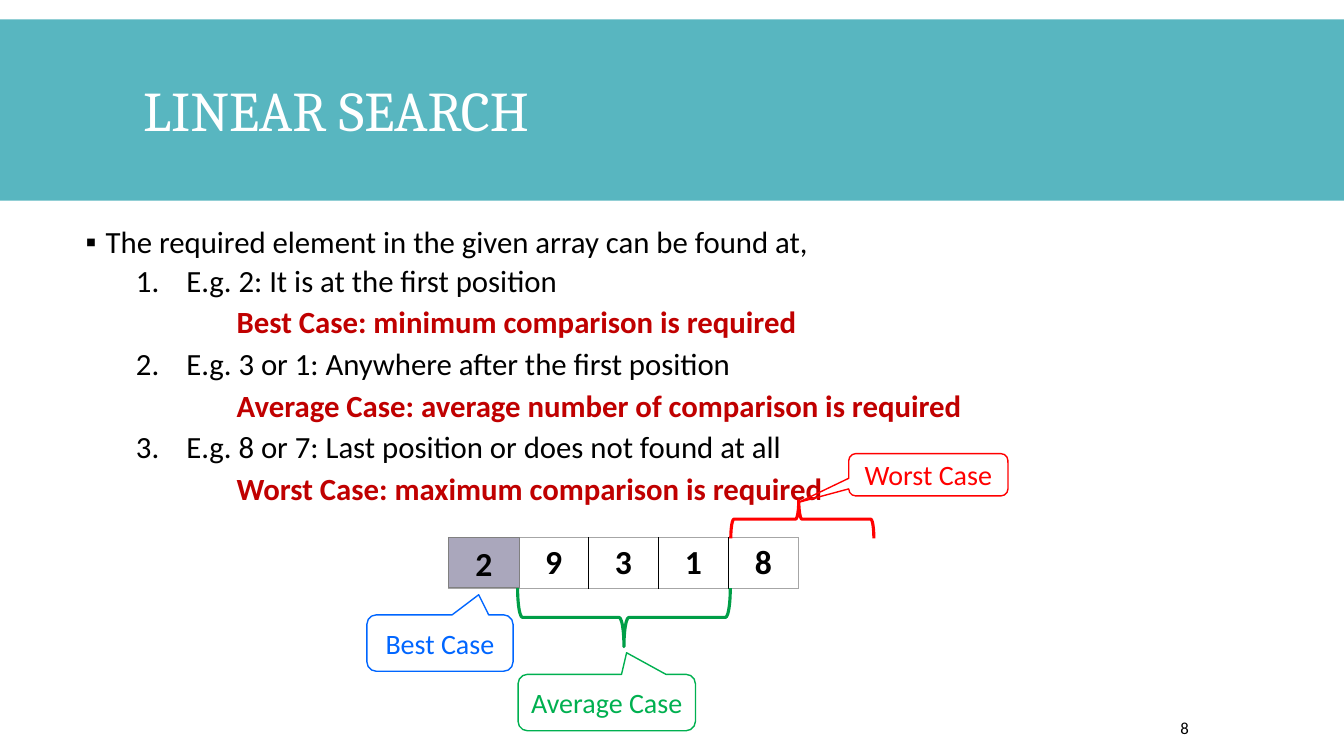
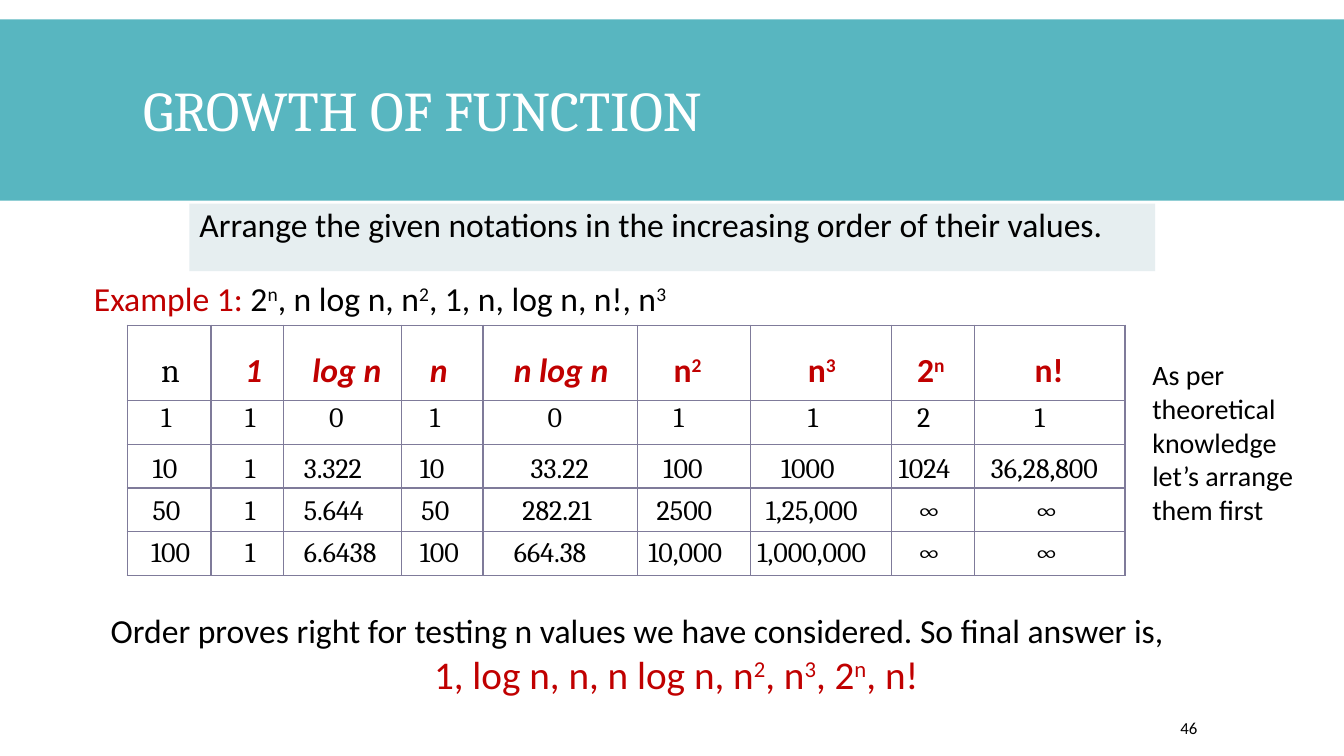
from lxml.etree import SubElement
from pptx import Presentation
from pptx.dml.color import RGBColor
from pptx.enum.shapes import MSO_SHAPE
from pptx.enum.text import MSO_ANCHOR, MSO_AUTO_SIZE, PP_ALIGN
from pptx.oxml.ns import qn
from pptx.util import Inches, Pt

COLUMNS, ROWS = 160, 90
BLACK, WHITE, DARK_RED = "000000", "FFFFFF", "C00000"
TEAL, PALE, LILAC = "58B6C0", "E6EEF0", "AAA7BC"
BLUE, GREEN, BRACE_GREEN, RED = "0066FF", "00B050", "009E47", "FF0000"
GREY, DARK_GREY, TABLE_LINE = "A6A6A6", "808080", "7F7B9A"
TITLE_ONLY = 5


def rgb(value):
    return RGBColor.from_string(value)


class Deck:
    """Holds the shared style and the slide being built; lengths are grid units."""

    font = {"name": "Calibri", "size": 24, "color": BLACK, "bold": False, "italic": False}

    def __init__(self):
        self.prs = Presentation()
        self.prs.slide_width = Inches(13.333)
        self.prs.slide_height = Inches(7.5)
        self.s = None

    def x(self, columns):
        return round(self.prs.slide_width * columns / COLUMNS)

    def y(self, rows):
        return round(self.prs.slide_height * rows / ROWS)

    def box(self, left, top, width, height):
        return self.x(left), self.y(top), self.x(width), self.y(height)

    def new_slide(self, title, number):
        self.s = self.prs.slides.add_slide(self.prs.slide_layouts[TITLE_ONLY])
        band = self.shape(MSO_SHAPE.RECTANGLE, (0, 2.3, COLUMNS, 21.6), fill=TEAL)
        sp = self.s.shapes.title
        sp.element.addprevious(band.element)
        sp.left, sp.top, sp.width, sp.height = self.box(15.84, 3.72, 128.4, 19.8)
        self.frame(sp.text_frame, MSO_ANCHOR.MIDDLE)
        self.paragraph(sp.text_frame, title, {"line_spacing": 0.85},
                       name="Cambria", size=40, color=WHITE)
        tf = self.text((139.92, 84.24, 12.36, 4.8), MSO_ANCHOR.MIDDLE)
        tf.margin_left = Inches(0.05)
        self.paragraph(tf, number, size=12)

    def frame(self, tf, anchor):
        tf.word_wrap = True
        tf.auto_size = MSO_AUTO_SIZE.NONE
        tf.vertical_anchor = anchor
        return tf

    def text(self, at, anchor=MSO_ANCHOR.TOP):
        return self.frame(self.s.shapes.add_textbox(*self.box(*at)).text_frame, anchor)

    def paragraph(self, tf, text, layout=None, **font):
        """Fill the first empty paragraph of the frame, or add one."""
        p = tf.paragraphs[-1]
        if p.runs:
            p = tf.add_paragraph()
        for name, value in {"alignment": PP_ALIGN.LEFT, **(layout or {})}.items():
            setattr(p, name, value)
        self.runs(p, text, **font)
        return p

    def runs(self, p, text, **font):
        """Write text in which ^ raises the one character after it."""
        first, *rest = text.split("^")
        pieces = [(first, False)]
        for part in rest:
            pieces += [(part[:1], True), (part[1:], False)]
        style = {**self.font, **font}
        for piece, raised in pieces:
            if not piece:
                continue
            r = p.add_run()
            r.text = piece
            for name in ("name", "bold", "italic"):
                setattr(r.font, name, style[name])
            r.font.size = Pt(style["size"])
            r.font.color.rgb = rgb(style["color"])
            if raised:
                r._r.get_or_add_rPr().set("baseline", "30000")

    def indent(self, p, margin, hanging, tag=None, **bullet):
        """Set indents in inches and, given a tag, a bullet or number."""
        pPr = p._p.get_or_add_pPr()
        pPr.set("marL", str(Inches(margin)))
        pPr.set("indent", str(-Inches(hanging)))
        if tag:
            color = SubElement(pPr, qn("a:buClr"))
            SubElement(color, qn("a:srgbClr"), val=BLACK)
            SubElement(pPr, qn("a:buFont"), typeface="Arial")
            SubElement(pPr, qn(tag), **bullet)

    def shape(self, kind, at, fill=None, line=None, weight=1, adjust=(), rotation=0):
        sp = self.s.shapes.add_shape(kind, *self.box(*at))
        sp.shadow.inherit = False
        sp.rotation = rotation
        for i, value in enumerate(adjust):
            sp.adjustments[i] = value
        if fill:
            sp.fill.solid()
            sp.fill.fore_color.rgb = rgb(fill)
        else:
            sp.fill.background()
        if line:
            sp.line.color.rgb = rgb(line)
            sp.line.width = Pt(weight)
        else:
            sp.line.fill.background()
        return sp

    def brace(self, kind, at, color, adjust=()):
        self.shape(kind, at, line=color, weight=2.25, adjust=adjust, rotation=270)

    def callout(self, label, at, color, tip):
        sp = self.shape(MSO_SHAPE.ROUNDED_RECTANGULAR_CALLOUT, at, line=color,
                        adjust=(*tip, 0.167))
        tf = self.frame(sp.text_frame, MSO_ANCHOR.MIDDLE)
        self.paragraph(tf, label, {"alignment": PP_ALIGN.CENTER}, size=20, color=color)

    def table(self, left, top, widths, heights, line, dividers=()):
        """Add an empty ruled table; dividers are columns with a black left edge."""
        at = self.box(left, top, sum(widths), sum(heights))
        table = self.s.shapes.add_table(len(heights), len(widths), *at).table
        table.first_row = table.horz_banding = False
        for column, width in zip(table.columns, widths):
            column.width = self.x(width)
        for row, height in zip(table.rows, heights):
            row.height = self.y(height)
            for c, cell in enumerate(row.cells):
                tcPr = cell._tc.get_or_add_tcPr()
                for side, edge in (("L", c), ("R", c + 1), ("T", None), ("B", None)):
                    color, weight = (BLACK, 1.5) if edge in dividers else (line, 1)
                    ln = SubElement(tcPr, qn(f"a:ln{side}"), w=str(Pt(weight)))
                    SubElement(SubElement(ln, qn("a:solidFill")), qn("a:srgbClr"), val=color)
                cell.fill.background()
        return table


def linear_search(deck):
    deck.new_slide("LINEAR SEARCH", "8")
    tf = deck.text((9, 26.4, 145, 55.2))
    p = deck.paragraph(tf, "The required element in the given array can be found at,",
                       {"line_spacing": 0.9, "space_before": Pt(12), "space_after": Pt(2)},
                       size=22)
    deck.indent(p, 0.2, 0.2, "a:buChar", char="▪")
    cases = [
        ("E.g. 2: It is at the first position",
         "Best Case: minimum comparison is required"),
        ("E.g. 3 or 1: Anywhere after the first position",
         "Average Case: average number of comparison is required"),
        ("E.g. 8 or 7: Last position or does not found at all",
         "Worst Case: maximum comparison is required"),
    ]
    spacing = {"line_spacing": 0.9, "space_before": Pt(2), "space_after": Pt(4)}
    for number, (example, case) in enumerate(cases, 1):
        p = deck.paragraph(tf, example, spacing, size=22)
        deck.indent(p, 1, 0.5, "a:buAutoNum", type="arabicPeriod", startAt=str(number))
        p = deck.paragraph(tf, case, spacing, size=22, color=DARK_RED, bold=True)
        deck.indent(p, 1.5, 0)

    centered = {"alignment": PP_ALIGN.CENTER}
    array = deck.table(53.4, 64, [8.33] * 5, [6], GREY, dividers=range(2, 5))
    for cell, value in zip(array.rows[0].cells, "29318"):
        deck.paragraph(cell.text_frame, value, centered, bold=True)
    found = deck.shape(MSO_SHAPE.RECTANGLE, (53.4, 64, 8.4, 6), LILAC, DARK_GREY, 0.75)
    deck.paragraph(deck.frame(found.text_frame, MSO_ANCHOR.TOP), "2", centered, bold=True)

    deck.brace(MSO_SHAPE.LEFT_BRACE, (70.8, 60.84, 6.96, 25.32), BRACE_GREEN)
    deck.brace(MSO_SHAPE.RIGHT_BRACE, (93.24, 53.28, 4.56, 17.04), RED, (0.083, 0.475))
    deck.callout("Best Case", (43.68, 73.2, 17.4, 6.72), BLUE, (0.265, -0.857))
    deck.callout("Average Case", (61.68, 80.28, 21.12, 6.72), GREEN, (0.112, -0.883))
    deck.callout("Worst Case", (101.04, 54, 18.96, 5.04), RED, (-0.815, 0.652))


def growth_of_function(deck):
    deck.new_slide("GROWTH OF FUNCTION", "46")
    task = deck.shape(MSO_SHAPE.RECTANGLE, (22.56, 24.24, 114.96, 8.04), fill=PALE)
    deck.paragraph(deck.frame(task.text_frame, MSO_ANCHOR.TOP),
                   "Arrange the given notations in the increasing order of their values.",
                   {"line_spacing": 0.9, "space_before": Pt(12), "space_after": Pt(2)})
    p = deck.paragraph(deck.text((10, 32.5, 134.16, 6)), "Example 1: ", color=DARK_RED)
    deck.runs(p, "2^n, n log n, n^2, 1, n, log n, n!, n^3")

    widths = [9.96, 8.64, 14.04, 9.72, 18.36, 13.44, 16.8, 9.96, 17.88]
    deck.table(15.15, 38.7, widths, [9] + [5.2] * 4, TABLE_LINE)

    # Each row: top, then the labels, their left edges and their widths.
    rows = [
        (41, ["n", "1", "log n", "n", "n log n", "n^2", "n^3", "2^n", "n!"],
         [18, 28, 36, 50, 60, 79, 95, 108, 122],
         [4, 8, 13, 13, 15, 8, 8, 8, 8]),
        (47, ["1", "1", "0", "1", "0", "1", "1", "2", "1"],
         [18, 28, 38, 50, 64, 79, 95, 108, 122],
         [4, 4, 16, 9, 16, 9, 9, 9, 9]),
        (53, ["10", "1", "3.322", "10", "33.22", "100", "1000", "1024", "36,28,800"],
         [17, 28, 35, 48.8, 62, 77.8, 91.8, 105.8, 116.8],
         [8.2, 4, 16, 8.2, 16, 8.2, 10.2, 10.2, 18.2]),
        (58, ["50", "1", "5.644", "50", "282.21", "2500", "1,25,000", "∞", "∞"],
         [17, 28, 35, 49, 61, 77, 90, 108, 122],
         [8.2, 4, 16, 8.2, 16, 10, 15, 15, 15]),
        (63, ["100", "1", "6.6438", "100", "664.38", "10,000", "1,000,000", "∞", "∞"],
         [16.8, 28, 35, 48.8, 60, 76, 89, 108, 122],
         [8.2, 4, 16, 8.2, 16, 15, 18, 15, 15]),
    ]
    for r, (top, labels, lefts, label_widths) in enumerate(rows):
        for c, (label, left, width) in enumerate(zip(labels, lefts, label_widths)):
            if r:
                font = {"name": "Cambria", "size": 20}
            elif c:
                font = {"color": DARK_RED, "bold": True, "italic": c < 5}
            else:
                font = {"name": "Cambria"}
            tf = deck.text((left, top, width, 5.25 if r else 6))
            deck.paragraph(tf, label, **font)

    deck.paragraph(deck.text((136, 42, 22, 21.36)),
                   "As per theoretical knowledge let’s arrange them first", size=20)
    tf = deck.text((12, 72, 137, 11.76))
    deck.paragraph(tf, "Order proves right for testing n values we have considered. "
                       "So final answer is,")
    deck.paragraph(tf, "1, log n, n, n log n, n^2, n^3, 2^n, n!",
                   {"alignment": PP_ALIGN.CENTER}, size=28, color=DARK_RED)


def main():
    deck = Deck()
    linear_search(deck)
    growth_of_function(deck)
    deck.prs.save("out.pptx")


if __name__ == "__main__":
    main()
